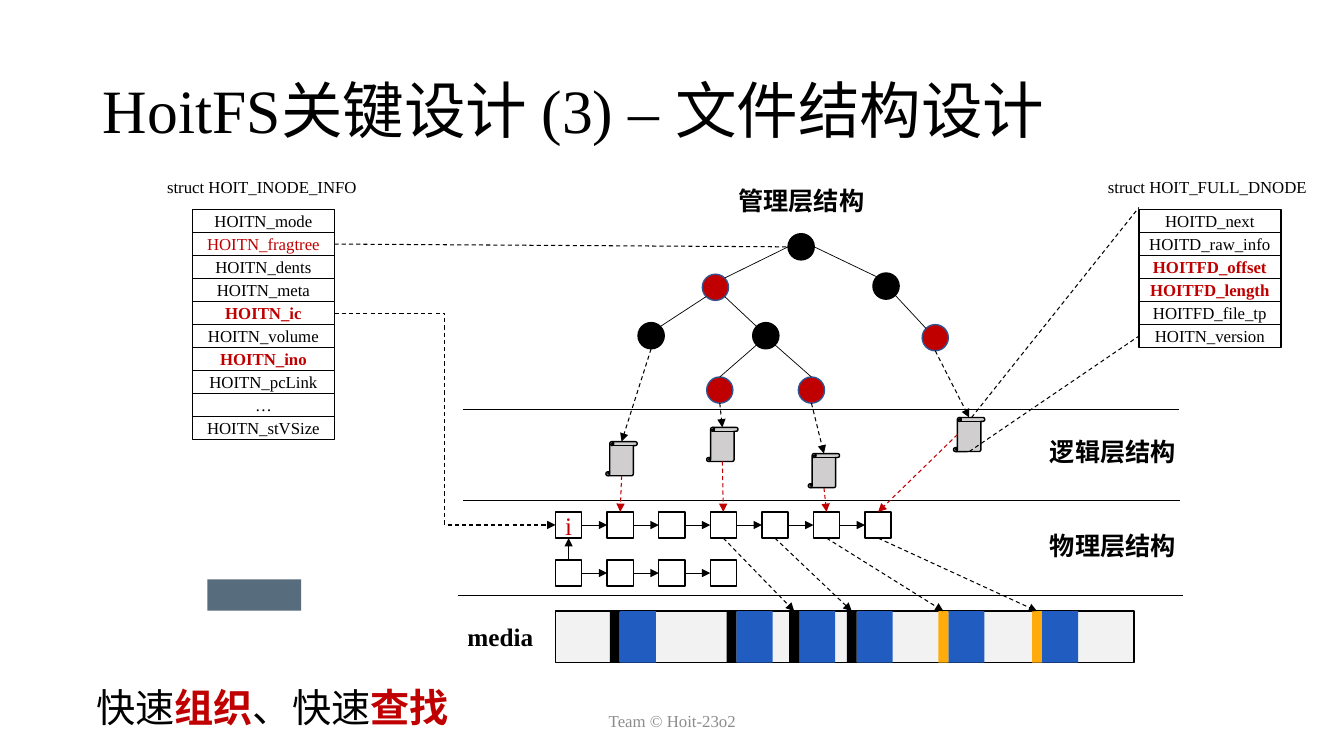
from pptx import Presentation
from pptx.dml.color import RGBColor
from pptx.enum.dml import MSO_LINE
from pptx.enum.shapes import MSO_CONNECTOR as CONN, MSO_SHAPE as SHAPE
from pptx.enum.text import MSO_ANCHOR, MSO_AUTO_SIZE, PP_ALIGN
from pptx.oxml.ns import qn
from pptx.util import Cm, Pt
from lxml.etree import SubElement

COLORS = {"black": "000000", "white": "FFFFFF", "red": "C00000", "navy": "325491",
          "blue": "215CC1", "amber": "FFAB0B", "media": "F2F2F2", "scroll": "D0CECE",
          "slate": "576D7E", "footer": "8C8C8C"}
SERIF, SANS = "Times New Roman", "Noto Sans CJK SC"
NODE, CELL, PITCH, ROW = 0.66, 0.66, 1.3, 0.58
SCROLL_W, SCROLL_H = 0.79, 0.86


def rgb(name):
    return RGBColor.from_string(COLORS[name])


# ---- Basic parts -------------------------------------------------------
def write(tf, runs, align=PP_ALIGN.LEFT, anchor=MSO_ANCHOR.TOP, font=SERIF, size=12):
    """Fill a text frame with (text, colour, bold) runs."""
    for name, value in dict(word_wrap=True, auto_size=MSO_AUTO_SIZE.NONE,
                            vertical_anchor=anchor).items():
        setattr(tf, name, value)
    p = tf.paragraphs[0]
    p.alignment = align
    for text, color, bold in runs:
        r = p.add_run()
        r.text = text
        for name, value in dict(name=font, size=Pt(size), bold=bold).items():
            setattr(r.font, name, value)
        r.font.color.rgb = rgb(color)
        SubElement(r.font._element, qn("a:ea"), typeface=SANS)
    return p


def add_text(slide, box, runs, **fmt):
    sp = slide.shapes.add_textbox(*map(Cm, box))
    write(sp.text_frame, runs, **fmt)


def add_box(slide, kind, box, fill, line=None, text=None, color="black", bold=False, size=12):
    sp = slide.shapes.add_shape(kind, *map(Cm, box))
    sp.shadow.inherit = False
    sp.fill.solid()
    sp.fill.fore_color.rgb = rgb(fill)
    if line:
        sp.line.color.rgb = rgb(line)
        sp.line.width = Pt(1)
    else:
        sp.line.fill.background()
    if text:
        tf = sp.text_frame
        for side in ("left", "top", "right", "bottom"):
            setattr(tf, f"margin_{side}", 0)
        write(tf, [(text, color, bold)], PP_ALIGN.CENTER, MSO_ANCHOR.MIDDLE, size=size)
    return sp


def add_line(slide, start, end, color="black", width=0.75, dash=False, arrow=False,
             kind=CONN.STRAIGHT):
    """Each end is an (x, y) point in cm or a (shape, side) pair to join."""
    joined = [not isinstance(e[0], (int, float)) for e in (start, end)]
    points = [(0, 0) if j else e for j, e in zip(joined, (start, end))]
    c = slide.shapes.add_connector(kind, *[Cm(v) for pt in points for v in pt])
    if joined[0]:
        c.begin_connect(*start)
    if joined[1]:
        c.end_connect(*end)
    c.line.color.rgb = rgb(color)
    c.line.width = Pt(width)
    if dash:
        c.line.dash_style = MSO_LINE.DASH
    if arrow:
        SubElement(c.line._get_or_add_ln(), qn("a:tailEnd"), type="triangle")
    SubElement(c._element.spPr, qn("a:effectLst"))


# ---- Regions -----------------------------------------------------------
def title_and_notes(slide, box):
    left, top, w, h = box
    title = slide.shapes.title
    for name, value in zip(("left", "top", "width", "height"),
                           (left + 2.34, top + 1.02, w - 4.66, 3.68)):
        setattr(title, name, Cm(value))
    p = write(title.text_frame, [("HoitFS关键设计 (3) – 文件结构设计", "black", False)],
              anchor=MSO_ANCHOR.MIDDLE, size=44)
    p.line_spacing = 0.9
    add_text(slide, (left + 11.23, top + 17.65, 11.43, 1.02),
             [("Team © Hoit-23o2", "footer", False)],
             align=PP_ALIGN.CENTER, anchor=MSO_ANCHOR.MIDDLE)
    add_box(slide, SHAPE.RECTANGLE, (left + 5.23, top + 14.6, 2.36, 0.79), "slate")
    add_text(slide, (left + 2.18, top + 17.09, 9.8, 1.45),
             [("快速", "black", False), ("组织", "red", True),
              ("、快速", "black", False), ("查找", "red", True)], font=SANS, size=28)


def struct(slide, box, name, name_w, fields, red=(), bold=()):
    """Column of fields with the struct name centred above; returns the rows."""
    left, top, w = box
    add_text(slide, (left + (w - name_w) / 2, top - 0.96, name_w, 0.76),
             [(name, "black", False)])
    return [add_box(slide, SHAPE.RECTANGLE, (left, top + i * ROW, w, ROW), "white", "black",
                    field, "red" if field in red + bold else "black", field in bold)
            for i, field in enumerate(fields)]


def layers(slide, box):
    """Dividing lines and the names of the layers."""
    left, top, w = box
    for dx, dy, extra in ((0.13, 0, -0.23), (0.15, 2.29, -0.23), (0, 4.7, 0)):
        add_line(slide, (left + dx, top + dy), (left + dx + w + extra, top + dy))
    for dx, dy, name in ((6.76, -5.76, "管理层结构"), (14.61, 0.56, "逻辑层结构"),
                         (14.61, 2.92, "物理层结构")):
        add_text(slide, (left + dx, top + dy, 3.81, 1.02), [(name, "black", True)],
                 align=PP_ALIGN.CENTER, font=SANS, size=18)


def tree(slide, box):
    """Red-black tree; returns a function giving a point on a node's rim."""
    left, top = box
    nodes = {"root": (3.78, 0, "black"), "l": (1.62, 1.02, "red"), "r": (5.92, 0.99, "black"),
             "rr": (7.16, 2.29, "red"), "ll": (0, 2.24, "black"), "lr": (2.89, 2.24, "black"),
             "lrl": (1.73, 3.61, "red"), "lrr": (4.04, 3.61, "red")}
    for x, y, color in nodes.values():
        add_box(slide, SHAPE.OVAL, (left + x, top + y, NODE, NODE), color,
                "navy" if color == "red" else "black")

    def rim(node, dx, dy):
        x, y, _ = nodes[node]
        reach = NODE / 2 * (0.71 if dx and dy else 1)
        return left + x + NODE / 2 + dx * reach, top + y + NODE / 2 + dy * reach

    for start, end in ((("root", -1, 0), ("l", 1, -1)), (("root", 1, 0), ("r", -1, -1)),
                       (("l", -1, 1), ("ll", 1, -1)), (("l", 1, 1), ("lr", -1, -1)),
                       (("lr", -1, 1), ("lrl", 0, -1)), (("lr", 1, 1), ("lrr", 0, -1)),
                       (("r", 1, 1), ("rr", -1, -1))):
        add_line(slide, rim(*start), rim(*end), width=0.5)
    return rim


def chains(slide, box):
    """Two linked rows of cells; returns the upper row."""
    left, top = box
    rows = []
    for count, dy in ((7, 0), (4, 1.21)):
        row = [add_box(slide, SHAPE.RECTANGLE, (left + i * PITCH, top + dy, CELL, CELL),
                       "white", "black", "i" if i == dy == 0 else None, "red", size=18)
               for i in range(count)]
        for a, b in zip(row, row[1:]):
            add_line(slide, (a, 3), (b, 1), width=0.5, arrow=True)
        rows.append(row)
    add_line(slide, (rows[1][0], 0), (rows[0][0], 2), width=0.5, arrow=True)
    return rows[0]


def media(slide, box):
    """Storage strip with data blocks; returns the block heads."""
    left, top, w, h = box
    add_text(slide, (left - 2.47, top + 0.13, 2.21, 1.02), [("media", "black", True)], size=18)
    add_box(slide, SHAPE.RECTANGLE, box, "media", "black")
    heads = []
    for i, dx in enumerate((1.37, 4.31, 5.89, 7.34, 9.65, 12.01)):
        add_box(slide, SHAPE.RECTANGLE, (left + dx + 0.25, top, 0.91, h), "blue")
        heads.append(add_box(slide, SHAPE.RECTANGLE, (left + dx, top, 0.25, h),
                             "black" if i < 4 else "amber"))
    return heads


def scrolls(slide, box, rim, cells, dnode):
    """File nodes, linking the tree to the cells and to the struct."""
    left, top = box
    dashed = dict(dash=True, arrow=True)
    for dx, dy, node, cell in ((0, 0.61, "ll", 1), (2.54, 0.25, "lrl", 3),
                               (5.1, 0.91, "lrr", 5), (8.76, 0, "rr", 6)):
        x, y = left + dx, top + dy
        mid = x + SCROLL_W / 2
        add_box(slide, SHAPE.VERTICAL_SCROLL, (x, y, SCROLL_W, SCROLL_H), "scroll", "black")
        add_line(slide, rim(node, 0, 1), (mid, y), **dashed)
        start = (x + 0.1, y + SCROLL_H / 2) if node == "rr" else (mid, y + SCROLL_H)
        add_line(slide, start, (cells[cell], 0), color="red", **dashed)
    # The last scroll opens out into the struct
    add_line(slide, (mid + 0.06, y), (dnode[0].left.cm, dnode[0].top.cm - 0.05), dash=True)
    add_line(slide, (mid, y + SCROLL_H), (dnode[-1], 1), dash=True)


def main():
    prs = Presentation()
    prs.slide_width, prs.slide_height = Cm(33.87), Cm(19.05)
    slide = prs.slides.add_slide(prs.slide_layouts[5])
    title_and_notes(slide, (0, 0, 33.87, 19.05))
    heads = media(slide, (14, 15.4, 14.58, 1.3))
    inode = struct(slide, (4.85, 5.28, 3.58), "struct HOIT_INODE_INFO", 5.36,
                   ("HOITN_mode", "HOITN_fragtree", "HOITN_dents", "HOITN_meta", "HOITN_ic",
                    "HOITN_volume", "HOITN_ino", "HOITN_pcLink", "…", "HOITN_stVSize"),
                   red=("HOITN_fragtree",), bold=("HOITN_ic", "HOITN_ino"))
    dnode = struct(slide, (28.7, 5.28, 3.58), "struct HOIT_FULL_DNODE", 5.64,
                   ("HOITD_next", "HOITD_raw_info", "HOITFD_offset", "HOITFD_length",
                    "HOITFD_file_tp", "HOITN_version"),
                   bold=("HOITFD_offset", "HOITFD_length"))
    layers(slide, (11.53, 10.31, 18.29))
    rim = tree(slide, (16.08, 5.89))
    cells = chains(slide, (14, 12.9))
    scrolls(slide, (15.27, 10.52), rim, cells, dnode)

    # Links between regions
    add_line(slide, (inode[1], 3), rim("root", -1, 0), dash=True)
    add_line(slide, (inode[4], 3), (cells[0], 1), dash=True, arrow=True, kind=CONN.ELBOW)
    for cell, head in zip(cells[3:], heads[2:]):
        add_line(slide, (cell, 2), (head, 0), dash=True, arrow=True)
    prs.save("out.pptx")


if __name__ == "__main__":
    main()
